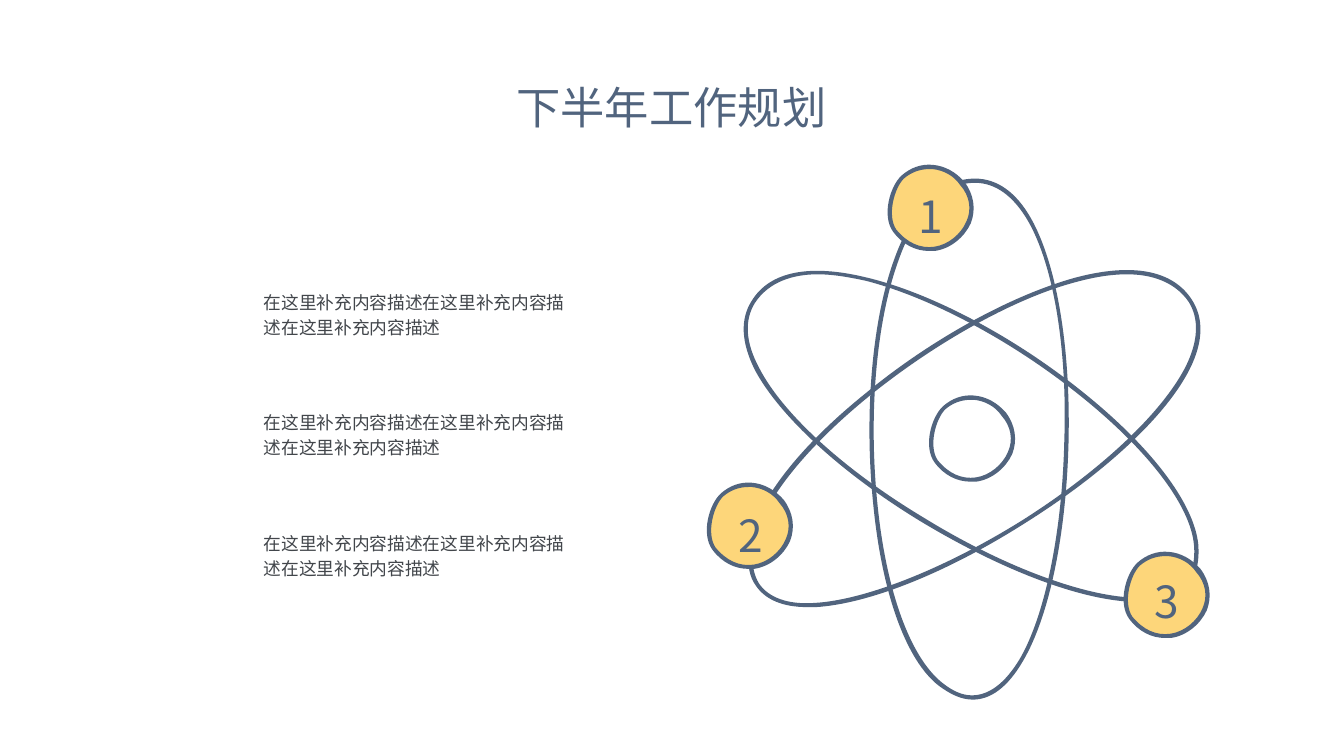
import pptx
import pptx.dml.color
import pptx.enum.text
import pptx.oxml.ns
import pptx.util
import lxml.etree

PX = 9144  # one px is a hundredth of an inch

THEME = {
    "ink": pptx.dml.color.RGBColor.from_string("51647E"),
    "body": pptx.dml.color.RGBColor.from_string("42464B"),
    "electron": pptx.dml.color.RGBColor.from_string("FDD67A"),
    "font": "Noto Sans CJK SC",
    "title_size": 30,
    "body_size": 12,
}

prs = pptx.Presentation()
prs.slide_width = 1264 * PX
prs.slide_height = 711 * PX
s = prs.slides.add_slide(prs.slide_layouts[6])


def add_text(text, *, x, y, w, h, size, color, align):
    sp = s.shapes.add_textbox(x * PX, y * PX, w * PX, h * PX)
    tf = sp.text_frame
    tf.word_wrap = True
    tf.auto_size = pptx.enum.text.MSO_AUTO_SIZE.SHAPE_TO_FIT_TEXT
    tf.vertical_anchor = pptx.enum.text.MSO_ANCHOR.MIDDLE
    tf.margin_left = tf.margin_top = tf.margin_right = tf.margin_bottom = 0
    p = tf.paragraphs[0]
    p.alignment = align
    p.line_spacing = 1.16
    r = p.add_run()
    r.text = text
    r.font.size = pptx.util.Pt(size)
    r.font.color.rgb = color
    r.font.name = THEME["font"]
    ea = lxml.etree.SubElement(r.font._element, pptx.oxml.ns.qn("a:ea"))
    ea.set("typeface", THEME["font"])


def add_curves(contours, *, x=0, y=0, fill):
    """Fill closed contours; each is a start, then two handles and an end per curve."""
    outline = None
    for start, *curves in contours:
        if outline is None:
            outline = s.shapes.build_freeform(x + start[0], y + start[1], scale=PX)
        else:
            outline.move_to(x + start[0], y + start[1])
        points = [(x + c[i], y + c[i + 1]) for c in curves for i in (0, 2, 4)]
        outline.add_line_segments(points, close=True)
    sp = outline.convert_to_shape()
    sp.shadow.inherit = False
    sp.fill.solid()
    sp.fill.fore_color.rgb = fill
    sp.line.fill.background()
    # Every three straight segments become one cubic curve
    segments = list(sp._element.iter(pptx.oxml.ns.qn("a:lnTo")))
    for i in range(0, len(segments), 3):
        curve = lxml.etree.Element(pptx.oxml.ns.qn("a:cubicBezTo"))
        segments[i].addprevious(curve)
        for segment in segments[i:i + 3]:
            curve.append(segment[0])
            segment.getparent().remove(segment)


# Title
add_text("下半年工作规划", x=431, y=66, w=401, h=61, size=THEME["title_size"],
         color=THEME["ink"], align=pptx.enum.text.PP_ALIGN.CENTER)

# Orbits as outer and inner edges: upright, rising, falling
upright = [
    [(915, 658),
     (904, 658, 894, 653, 883, 645), (852, 621, 829, 557, 821, 471),
     (813, 390, 820, 304, 840, 247), (858, 195, 885, 168, 917, 168),
     (938, 168, 956, 181, 970, 206), (994, 249, 1007, 327, 1005, 415),
     (1003, 502, 987, 580, 962, 622), (948, 646, 932, 658, 915, 658)],
    [(917, 172),
     (878, 172, 856, 213, 844, 248), (824, 305, 817, 390, 825, 471),
     (833, 555, 856, 618, 886, 642), (896, 650, 905, 654, 914, 654),
     (930, 654, 945, 643, 959, 620), (983, 579, 999, 500, 1001, 415),
     (1004, 328, 991, 250, 967, 208), (953, 184, 936, 172, 917, 172)],
]
rising = [
    [(760, 571),
     (736, 571, 720, 564, 711, 551), (705, 543, 703, 532, 704, 518),
     (707, 478, 747, 424, 814, 370), (877, 318, 953, 277, 1012, 261),
     (1065, 247, 1103, 254, 1121, 282), (1132, 299, 1132, 321, 1119, 347),
     (1097, 391, 1039, 445, 964, 492), (890, 539, 817, 568, 767, 571),
     (765, 571, 762, 571, 760, 571)],
    [(1060, 258),
     (1044, 258, 1028, 261, 1013, 265), (955, 280, 880, 322, 817, 373),
     (752, 426, 711, 480, 708, 518), (707, 531, 709, 541, 714, 549),
     (723, 562, 741, 569, 767, 567), (815, 564, 890, 534, 962, 489),
     (1036, 442, 1093, 388, 1115, 345), (1127, 321, 1128, 300, 1118, 284),
     (1105, 265, 1083, 258, 1060, 258)],
]
falling = [
    [(1070, 566),
     (1069, 566, 1067, 566, 1065, 566), (1015, 564, 942, 536, 867, 491),
     (791, 445, 733, 391, 710, 348), (697, 322, 696, 300, 707, 283),
     (724, 255, 762, 248, 815, 261), (874, 275, 951, 315, 1015, 366),
     (1082, 419, 1123, 473, 1127, 512), (1128, 526, 1126, 537, 1121, 545),
     (1112, 559, 1095, 566, 1070, 566)],
    [(769, 258),
     (746, 258, 723, 265, 710, 285), (700, 301, 701, 322, 714, 346),
     (736, 389, 794, 442, 869, 487), (942, 532, 1017, 560, 1065, 562),
     (1091, 563, 1109, 557, 1118, 543), (1122, 535, 1124, 525, 1123, 513),
     (1120, 475, 1078, 421, 1012, 369), (949, 319, 873, 279, 814, 264),
     (800, 261, 784, 258, 769, 258)],
]
for orbit in (upright, rising, falling):
    add_curves(orbit, fill=THEME["ink"])

# Nucleus and electrons share one hand-drawn ring
ring = [
    [(45, 82),
     (32, 82, 20, 76, 11, 64), (0, 49, 8, 21, 19, 11), (27, 4, 37, 0, 48, 1),
     (60, 2, 70, 8, 78, 17), (87, 29, 89, 43, 84, 56), (78, 69, 65, 80, 50, 82),
     (48, 82, 47, 82, 45, 82)],
    [(45, 5),
     (36, 5, 28, 8, 21, 14), (12, 23, 5, 49, 14, 62), (24, 74, 36, 80, 50, 78),
     (63, 76, 75, 66, 80, 54), (85, 43, 83, 30, 74, 20), (68, 11, 58, 6, 48, 5),
     (47, 5, 46, 5, 45, 5)],
]
disc = [[(20, 12), (10, 21, 2, 48, 13, 62), (46, 106, 107, 58, 76, 18),
         (62, 0, 37, -3, 20, 12)]]
add_curves(ring, x=868, y=371, fill=THEME["ink"])
for x, y in [(829, 154), (659, 453), (1051, 518)]:
    add_curves(disc, x=x, y=y, fill=THEME["electron"])
    add_curves(ring, x=x, y=y, fill=THEME["ink"])

# Descriptions, evenly spaced
for row in range(3):
    add_text("在这里补充内容描述" * 3, x=248, y=270 + 227 * row // 2, w=294, h=49,
             size=THEME["body_size"], color=THEME["body"],
             align=pptx.enum.text.PP_ALIGN.LEFT)

# Electron numbers
for number, (x, y) in enumerate([(842, 168), (673, 468), (1064, 531)], start=1):
    add_text(str(number), x=x, y=y, w=67, h=61, size=THEME["title_size"],
             color=THEME["ink"], align=pptx.enum.text.PP_ALIGN.CENTER)

prs.save("out.pptx")
